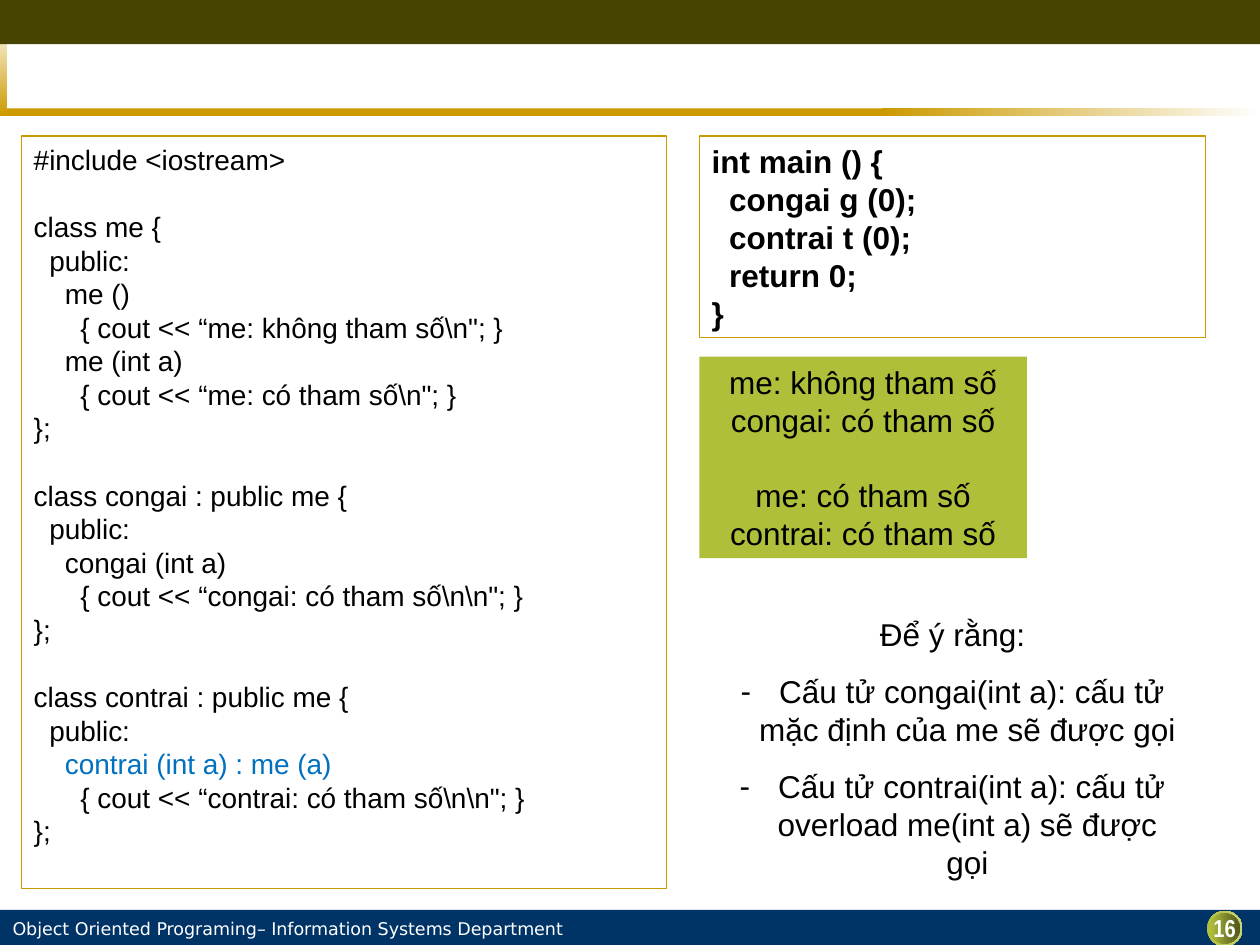
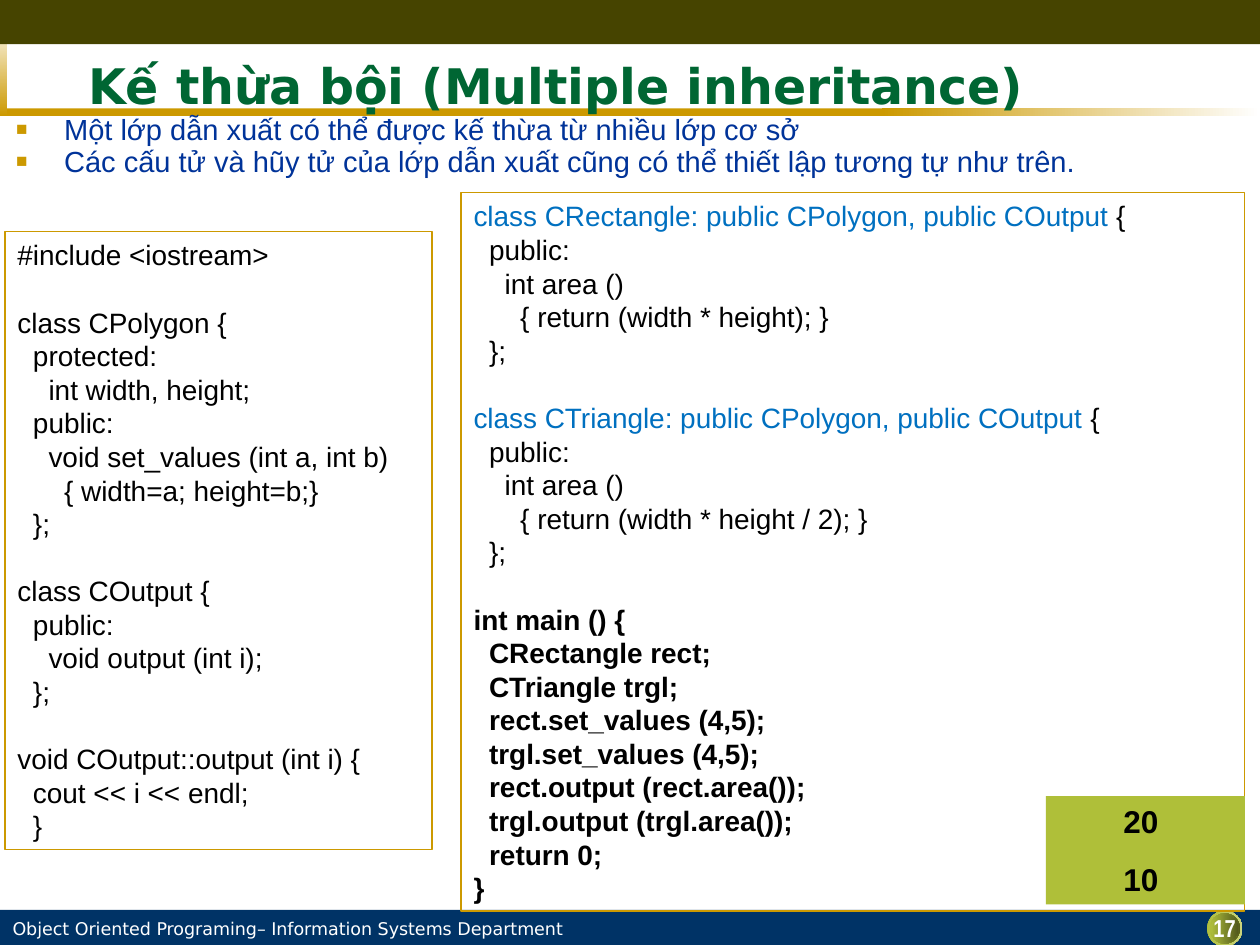
from dataclasses import dataclass

from lxml import etree
from pptx import Presentation
from pptx.dml.color import RGBColor
from pptx.enum.shapes import MSO_SHAPE
from pptx.enum.text import MSO_ANCHOR, PP_ALIGN
from pptx.oxml.ns import qn
from pptx.util import Pt

RECTANGLE, OVAL = MSO_SHAPE.RECTANGLE, MSO_SHAPE.OVAL
LEFT, CENTER = PP_ALIGN.LEFT, PP_ALIGN.CENTER
TOP = MSO_ANCHOR.TOP

WHITE, BLACK = "FFFFFF", "000000"
GOLD, OLIVE, NAVY = "CC9900", "464400", "003366"
LIME, OUTPUT_GREEN = "AFBE3C", "AFBF39"
TITLE_GREEN, BODY_BLUE, CODE_BLUE = "006633", "003399", "0070C0"

FOOTER = "Object Oriented Programing– Information Systems Department"
LINE_FACTOR = 1.2
SPACE_WIDTH = 0.278
PARAGRAPH_GAP = 11.2


@dataclass(frozen=True)
class Area:
    left: float
    top: float
    width: float
    height: float


@dataclass(frozen=True)
class Gradient:
    start: str
    end: str
    clockwise: int = 0


@dataclass(frozen=True)
class Style:
    size: float = 16
    font: str = "Arial"
    color: str = BLACK
    bold: bool = False
    align: int = LEFT
    line_factor: float = LINE_FACTOR
    inset: tuple[float, float] = (7.2, 3.6)


@dataclass(frozen=True)
class Bullet:
    char: str
    color: str
    hang: float
    percent: int = 100


@dataclass(frozen=True)
class Line:
    text: str
    before: float = 0
    margin: float = 0
    bold: bool = False
    highlight: str = ""
    bullet: Bullet | None = None


@dataclass(frozen=True)
class Piece:
    area: Area
    fill: str | Gradient
    kind: int = RECTANGLE


FRAME = [
    Piece(Area(0, 62, 504, 4.3), GOLD),
    Piece(Area(0, 9.4, 4.3, 56.9), Gradient(WHITE, GOLD, 90)),
    Piece(Area(504, 62, 216, 4.3), Gradient(GOLD, WHITE)),
    Piece(Area(0, 0, 720, 25.2), OLIVE),
    Piece(Area(0, 520, 720, 20), NAVY),
]
BADGE_CENTER = (699.84, 530.6)
BADGE_RINGS = [(20.2, WHITE), (20.2, "CAD47D"), (17.3, "5F6720"),
               (17.3, "555C1D"), (15.8, "51581C")]

OUTPUT_STYLE = Style(size=18, align=CENTER)
DASH = Bullet("-", BLACK, 17)
SQUARE = Bullet("■", GOLD, 27.4, 65)

PARENT_CODE = r"""
#include <iostream>

class me {
  public:
    me ()
      { cout << “me: không tham số\n"; }
    me (int a)
      { cout << “me: có tham số\n"; }
};

class congai : public me {
  public:
    congai (int a)
      { cout << “congai: có tham số\n\n"; }
};

class contrai : public me {
  public:
    contrai (int a) : me (a)
      { cout << “contrai: có tham số\n\n"; }
};
"""

CHILD_MAIN = """
int main () {
  congai g (0);
  contrai t (0);
  return 0;
}
"""

CHILD_OUTPUT = """
me: không tham số
congai: có tham số

me: có tham số
contrai: có tham số
"""

BASE_CODE = """
#include <iostream>

class CPolygon {
  protected:
    int width, height;
  public:
    void set_values (int a, int b)
      { width=a; height=b;}
  };

class COutput {
  public:
    void output (int i);
  };

void COutput::output (int i) {
  cout << i << endl;
  }
"""

DERIVED_CODE = """
class CRectangle: public CPolygon, public COutput {
  public:
    int area ()
      { return (width * height); }
  };

class CTriangle: public CPolygon, public COutput {
  public:
    int area ()
      { return (width * height / 2); }
  };

int main () {
  CRectangle rect;
  CTriangle trgl;
  rect.set_values (4,5);
  trgl.set_values (4,5);
  rect.output (rect.area());
  trgl.output (trgl.area());
  return 0;
}
"""


def rgb(value: str) -> RGBColor:
    return RGBColor.from_string(value)


def code_lines(code: str, size: float, highlights: tuple[str, ...] = ()) -> list[Line]:
    """Turn indentation into margins, blank lines into spacing; main() is bold."""
    lines, before, bold = [], 0.0, False
    for row in code.strip().splitlines():
        text = row.lstrip()
        if not text:
            before = size * LINE_FACTOR
            continue
        bold = bold or text.startswith("int main")
        margin = (len(row) - len(text)) * size * SPACE_WIDTH
        mark = next((part for part in highlights if text.startswith(part)), "")
        lines.append(Line(text, before, margin, bold, mark))
        before = 0.0
    return lines


def add_bullet(para, bullet: Bullet) -> None:
    props = para._p.get_or_add_pPr()
    props.set("indent", str(Pt(-bullet.hang)))
    color = etree.SubElement(props, qn("a:buClr"))
    etree.SubElement(color, qn("a:srgbClr"), val=bullet.color)
    etree.SubElement(props, qn("a:buSzPct"), val=str(bullet.percent * 1000))
    etree.SubElement(props, qn("a:buFont"), typeface="Arial")
    etree.SubElement(props, qn("a:buChar"), char=bullet.char)


def write(box, lines: list[Line], style: Style) -> None:
    frame = box.text_frame
    frame.word_wrap = True
    frame.vertical_anchor = TOP
    frame.margin_left = frame.margin_right = Pt(style.inset[0])
    frame.margin_top = frame.margin_bottom = Pt(style.inset[1])
    frame.text = "\n".join(line.text for line in lines)
    for para, line in zip(frame.paragraphs, lines):
        para.alignment = style.align
        para.line_spacing = Pt(style.size * style.line_factor)
        para.space_before = Pt(line.before)
        para._p.get_or_add_pPr().set("marL", str(Pt(line.margin)))
        if line.bullet:
            add_bullet(para, line.bullet)
        if line.highlight:
            para.runs[0].text = line.highlight
            rest = line.text.removeprefix(line.highlight)
            if rest:
                para.add_run().text = rest
        for span in para.runs:
            span.font.name = style.font
            span.font.size = Pt(style.size)
            span.font.bold = style.bold or line.bold
            marked = line.highlight and span.text == line.highlight
            span.font.color.rgb = rgb(CODE_BLUE if marked else style.color)


def add_text(page, area: Area, lines: list[Line], style: Style) -> None:
    box = page.shapes.add_textbox(Pt(area.left), Pt(area.top), Pt(area.width), Pt(area.height))
    write(box, lines, style)


def add_piece(page, piece: Piece):
    area = piece.area
    shape = page.shapes.add_shape(
        piece.kind, Pt(area.left), Pt(area.top), Pt(area.width), Pt(area.height))
    shape.shadow.inherit = False
    shape.line.fill.background()
    if isinstance(piece.fill, Gradient):
        shape.fill.gradient()
        shape.fill.gradient_angle = -piece.fill.clockwise % 360
        colors = (piece.fill.start, piece.fill.end)
        for stop, color, position in zip(shape.fill.gradient_stops, colors, (0, 1)):
            stop.color.rgb = rgb(color)
            stop.position = position
    else:
        shape.fill.solid()
        shape.fill.fore_color.rgb = rgb(piece.fill)
    return shape


def add_code(page, area: Area, code: str, style: Style = Style(),
             highlights: tuple[str, ...] = ()) -> None:
    box = add_piece(page, Piece(area, WHITE))
    box.fill.background()
    box.line.color.rgb = rgb(GOLD)
    box.line.width = Pt(0.75)
    write(box, code_lines(code, style.size, highlights), style)


def add_output(page, area: Area, lines: list[Line], style: Style = OUTPUT_STYLE) -> None:
    write(add_piece(page, Piece(area, OUTPUT_GREEN)), lines, style)


def add_page(deck, number: int):
    """Add a page with its bands, footer and number badge."""
    page = deck.slides.add_slide(deck.slide_layouts[6])
    for piece in FRAME:
        add_piece(page, piece)
    add_text(page, Area(5.8, 524.9, 371, 12.2), [Line(FOOTER)],
             Style(10, "DejaVu Sans", WHITE, inset=(1.4, 0)))
    x, y = BADGE_CENTER
    for size, color in BADGE_RINGS:
        ring = Area(x - size / 2, y - size / 2, size, size)
        add_piece(page, Piece(ring, Gradient(LIME, color), OVAL))
    add_text(page, Area(681.8, 522, 36, 19.4), [Line(str(number))],
             Style(14, "Arial Narrow", WHITE, True, CENTER, inset=(0, 0)))
    return page


def build_constructor_page(deck) -> None:
    page = add_page(deck, 16)
    add_code(page, Area(12.2, 77.8, 368.6, 429.8), PARENT_CODE,
             highlights=("contrai (int a) : me (a)",))
    add_code(page, Area(399.6, 77.8, 289.4, 115.2), CHILD_MAIN, Style(size=18))
    add_output(page, Area(399.6, 203.8, 187.2, 115.2), code_lines(CHILD_OUTPUT, 18))
    notes = [" Cấu tử congai(int a): cấu tử mặc định của me sẽ được gọi",
             " Cấu tử contrai(int a): cấu tử overload me(int a) sẽ được gọi"]
    remarks = [Line(note, PARAGRAPH_GAP, DASH.hang, bullet=DASH) for note in notes]
    add_text(page, Area(408.2, 347.8, 272.2, 154), [Line("Để ý rằng:"), *remarks], OUTPUT_STYLE)


def build_multiple_inheritance_page(deck) -> None:
    page = add_page(deck, 17)
    add_text(page, Area(43.2, 28, 630, 34), [Line("Kế thừa bội (Multiple inheritance)")],
             Style(28, "DejaVu Sans", TITLE_GREEN, True))
    points = ["Một lớp dẫn xuất có thể được kế thừa từ nhiều lớp cơ sở",
              "Các cấu tử và hũy tử của lớp dẫn xuất cũng có thể thiết lập tương tự như trên."]
    add_text(page, Area(2.2, 66.2, 672.5, 51),
             [Line(point, 4.5 * index, SQUARE.hang, bullet=SQUARE)
              for index, point in enumerate(points)],
             Style(16.6, color=BODY_BLUE, line_factor=0.84))
    add_code(page, Area(2.9, 132.5, 244, 352.8), BASE_CODE)
    add_code(page, Area(263.5, 110.2, 447.8, 410.4), DERIVED_CODE,
             highlights=tuple(f"class {name}: public CPolygon, public COutput"
                              for name in ("CRectangle", "CTriangle")))
    add_output(page, Area(597.6, 455, 113.8, 61.9),
               [Line("20 ", bold=True), Line("10 ", PARAGRAPH_GAP, bold=True)])


def main() -> None:
    deck = Presentation()
    deck.slide_width, deck.slide_height = Pt(720), Pt(540)
    build_constructor_page(deck)
    build_multiple_inheritance_page(deck)
    deck.save("out.pptx")


if __name__ == "__main__":
    main()
